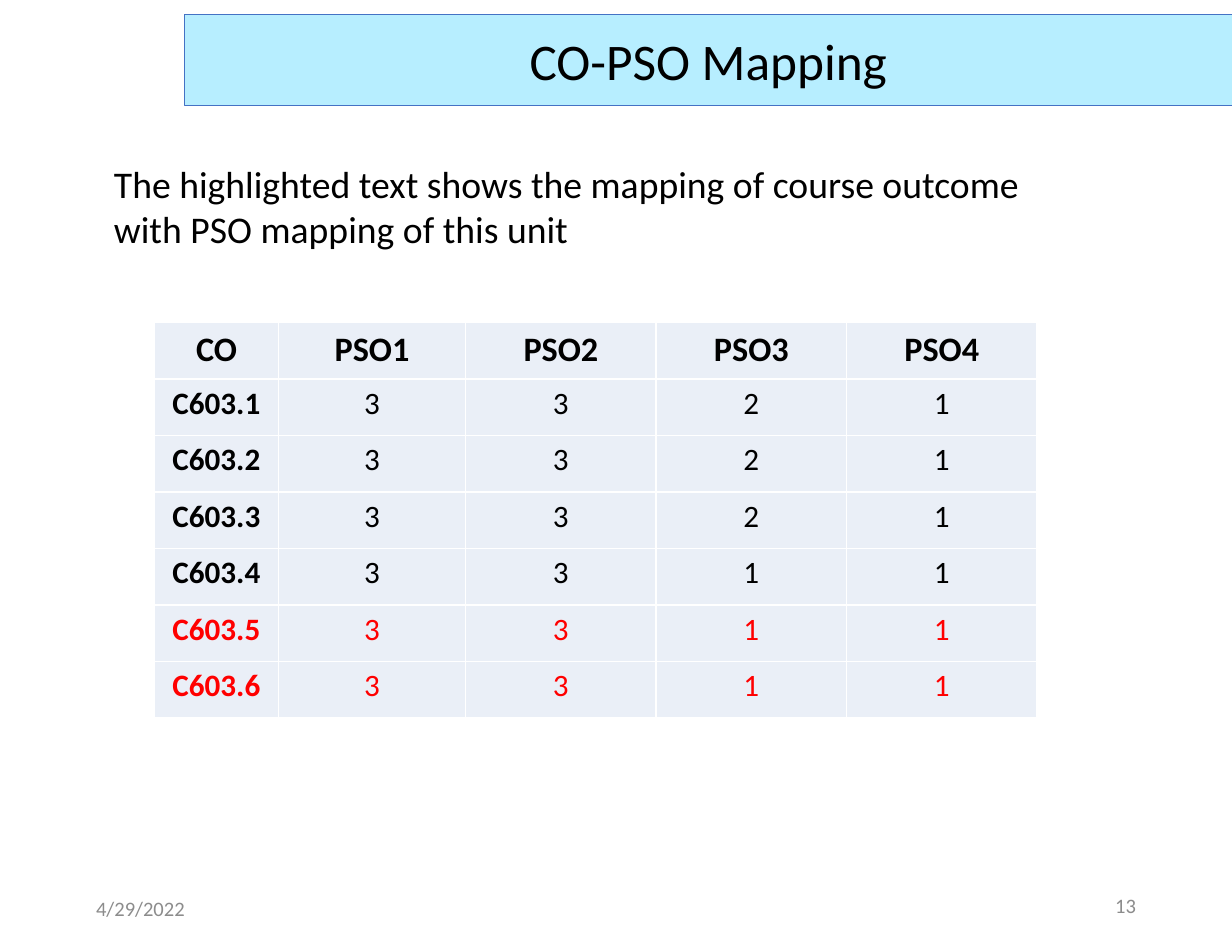
"""Builds the CO-PSO mapping slide."""
from lxml import etree
from pptx import Presentation
from pptx.dml.color import RGBColor
from pptx.enum.shapes import MSO_SHAPE
from pptx.enum.text import MSO_ANCHOR, PP_ALIGN
from pptx.oxml.ns import qn
from pptx.util import Pt

LEFT, CENTER, RIGHT = PP_ALIGN.LEFT, PP_ALIGN.CENTER, PP_ALIGN.RIGHT
TOP, MIDDLE = MSO_ANCHOR.TOP, MSO_ANCHOR.MIDDLE
RECTANGLE = MSO_SHAPE.RECTANGLE

PSO_COUNT = 4
RATINGS = {
    "C603.1": (3, 3, 2, 1),
    "C603.2": (3, 3, 2, 1),
    "C603.3": (3, 3, 2, 1),
    "C603.4": (3, 3, 1, 1),
    "C603.5": (3, 3, 1, 1),
    "C603.6": (3, 3, 1, 1),
}
HIGHLIGHTED = ("C603.5", "C603.6")


def color(value):
    """Turn a hex string into a colour."""
    return RGBColor.from_string(value)


class MappingSlide:
    """Holds the style and the current slide."""

    font = "Calibri"
    black, red, grey, white = "000000", "FF0000", "8C8C8C", "FFFFFF"
    banner_fill, banner_line, cell_fill = "B7EEFF", "4472C4", "EAEFF7"

    def __init__(self, deck):
        """Add a blank slide to the deck."""
        self.slide = deck.slides.add_slide(deck.slide_layouts[6])

    def set_text(self, frame, text, size, ink, align=LEFT, bold=False):
        """Fill a text frame with one styled paragraph and return it."""
        frame.text = text
        para = frame.paragraphs[0]
        para.alignment = align
        font = para.runs[0].font
        font.name, font.size, font.bold = self.font, Pt(size), bold
        font.color.rgb = color(ink)
        return para

    def text(self, place, text, size, ink, align=LEFT, anchor=MIDDLE):
        """Add a wrapping text box."""
        frame = self.slide.shapes.add_textbox(*map(Pt, place)).text_frame
        frame.word_wrap = True
        frame.vertical_anchor = anchor
        self.set_text(frame, text, size, ink, align)

    def banner(self, place, text, size):
        """Add the title rectangle."""
        box = self.slide.shapes.add_shape(RECTANGLE, *map(Pt, place))
        box.shadow.inherit = False
        box.fill.solid()
        box.fill.fore_color.rgb = color(self.banner_fill)
        box.line.color.rgb = color(self.banner_line)
        box.line.width = Pt(0.5)
        box.text_frame.vertical_anchor = MIDDLE
        self.set_text(box.text_frame, text, size, self.black, CENTER)

    def border(self, cell):
        """Draw a thin white line on every side of a cell."""
        properties = cell._tc.get_or_add_tcPr()
        for position, side in enumerate(("lnL", "lnR", "lnT", "lnB")):
            line = etree.Element(qn(f"a:{side}"), w=str(Pt(1)))
            fill = etree.SubElement(line, qn("a:solidFill"))
            etree.SubElement(fill, qn("a:srgbClr"), val=self.white)
            properties.insert(position, line)

    def cell(self, cell, text, size, ink, bold):
        """Style and fill one table cell."""
        cell.fill.solid()
        cell.fill.fore_color.rgb = color(self.cell_fill)
        cell.margin_left = cell.margin_right = Pt(5.4)
        cell.margin_top = cell.margin_bottom = 0
        para = self.set_text(cell.text_frame, text, size, ink, CENTER, bold)
        para.line_spacing = 1.15
        para.space_after = Pt(10)
        self.border(cell)

    def table(self, left, top, widths, row_height, rows, highlighted):
        """Add the mapping table with bold headings and red highlighted rows."""
        place = (left, top, sum(widths), row_height * len(rows))
        shape = self.slide.shapes.add_table(len(rows), len(widths), *map(Pt, place))
        table = shape.table
        for column, width in zip(table.columns, widths):
            column.width = Pt(width)
        for r, values in enumerate(rows):
            table.rows[r].height = Pt(row_height)
            ink = self.red if values[0] in highlighted else self.black
            size = 20 if r else 22
            for c, value in enumerate(values):
                self.cell(table.cell(r, c), str(value), size, ink, r == 0 or c == 0)


def main():
    """Build and save the deck."""
    deck = Presentation()
    deck.slide_width, deck.slide_height = Pt(792), Pt(612)
    page = MappingSlide(deck)
    page.text((54.7, 567.4, 89.3, 32.4), "4/29/2022", 13.2, page.grey)
    page.text((688.3, 566, 49, 32.4), "13", 13.2, page.grey, RIGHT)
    page.banner((118.8, 9, 673.2, 59), "CO-PSO Mapping", 33)
    page.text(
        (66.2, 100, 640, 66.2),
        "The highlighted text shows the mapping of course outcome "
        "with PSO mapping of this unit",
        24.2, page.black, anchor=TOP,
    )
    header = ("CO", *(f"PSO{number + 1}" for number in range(PSO_COUNT)))
    rows = [header, *((outcome, *values) for outcome, values in RATINGS.items())]
    widths = (79.5, 120.5, 122.4, 122.4, 122.4)
    page.table(99.4, 207.4, widths, 36.3, rows, HIGHLIGHTED)
    deck.save("out.pptx")


if __name__ == "__main__":
    main()
